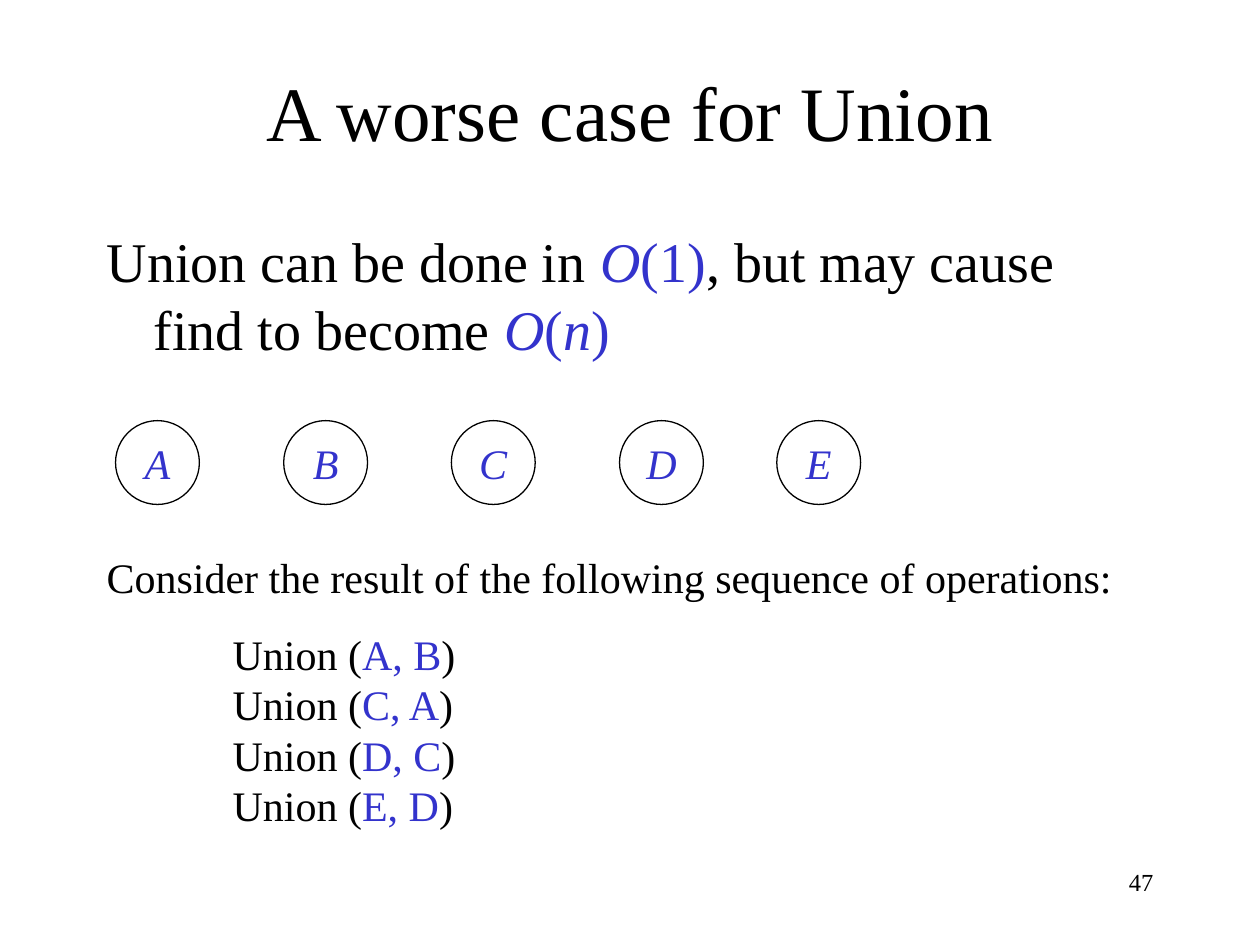
from dataclasses import dataclass

from lxml import etree
from pptx import Presentation
from pptx.dml.color import RGBColor
from pptx.enum.shapes import MSO_SHAPE as Shape
from pptx.enum.text import MSO_ANCHOR as Anchor, PP_ALIGN as Align
from pptx.oxml.ns import qn
from pptx.util import Cm, Pt


@dataclass(frozen=True)
class Theme:
    font: str = "Times New Roman"
    ink: RGBColor = RGBColor(0x00, 0x00, 0x00)
    accent: RGBColor = RGBColor(0x33, 0x33, 0xCC)
    title: Pt = Pt(44)
    lead: Pt = Pt(32)
    body: Pt = Pt(24)
    number: Pt = Pt(14)


theme = Theme()


def add_box(left, top, width, height):
    """Add a wrapping text box, measured in centimetres, and return its frame."""
    box = page.shapes.add_textbox(Cm(left), Cm(top), Cm(width), Cm(height))
    box.text_frame.word_wrap = True
    return box.text_frame


def add_span(para, text, size, color=theme.ink, italic=False):
    span = para.add_run()
    span.text = text
    span.font.name = theme.font
    span.font.size = size
    span.font.color.rgb = color
    span.font.italic = italic


deck = Presentation()
deck.slide_width, deck.slide_height = Cm(25.4), Cm(19.05)
page = deck.slides.add_slide(deck.slide_layouts[6])

# Title
frame = add_box(1.9, 0.64, 21.6, 3.18)
frame.vertical_anchor = Anchor.MIDDLE
para = frame.paragraphs[0]
para.alignment = Align.CENTER
add_span(para, "A worse case for Union", theme.title)

# Claim, with a hanging indent
para = add_box(1.9, 4.45, 21.6, 3.18).paragraphs[0]
properties = para._p.get_or_add_pPr()
properties.set("marL", str(Cm(0.95)))
properties.set("indent", str(Cm(-0.95)))
for text, color, italic in [
    ("Union can be done in ", theme.ink, False),
    ("O", theme.accent, True),
    ("(1)", theme.accent, False),
    (", but may cause find to become ", theme.ink, False),
    ("O", theme.accent, True),
    ("(", theme.accent, False),
    ("n", theme.accent, True),
    (")", theme.accent, False),
]:
    add_span(para, text, theme.lead, color, italic)

# Single-element sets; the last one sits slightly closer
diameter = 1.69
for name, left in zip("ABCDE", (2.33, 5.72, 9.1, 12.49, 15.66)):
    node = page.shapes.add_shape(
        Shape.OVAL, Cm(left), Cm(8.48), Cm(diameter), Cm(diameter))
    node.shadow.inherit = False
    node.fill.background()
    node.line.color.rgb = theme.ink
    node.line.width = Pt(0.75)
    frame = node.text_frame
    frame.word_wrap = False
    frame.vertical_anchor = Anchor.MIDDLE
    para = frame.paragraphs[0]
    para.alignment = Align.CENTER
    add_span(para, name, theme.body, theme.accent, italic=True)

# Sequence of operations, indented by one tab stop
frame = add_box(1.9, 11, 22.02, 5.87)
add_span(frame.paragraphs[0],
         "Consider the result of the following sequence of operations:",
         theme.body)
para = frame.add_paragraph()
para.space_before = Pt(15)
tabs = etree.SubElement(para._p.get_or_add_pPr(), qn("a:tabLst"))
etree.SubElement(tabs, qn("a:tab"), pos=str(Cm(2.54)), algn="l")
para.font.size = theme.body
for index, operands in enumerate(("A, B", "C, A", "D, C", "E, D")):
    if index:
        para.add_line_break()
    add_span(para, "\tUnion (", theme.body)
    add_span(para, operands, theme.body, theme.accent)
    add_span(para, ")", theme.body)

# Page number
para = add_box(18.2, 17.35, 5.3, 1.27).paragraphs[0]
para.alignment = Align.RIGHT
add_span(para, "47", theme.number)

deck.save("out.pptx")
